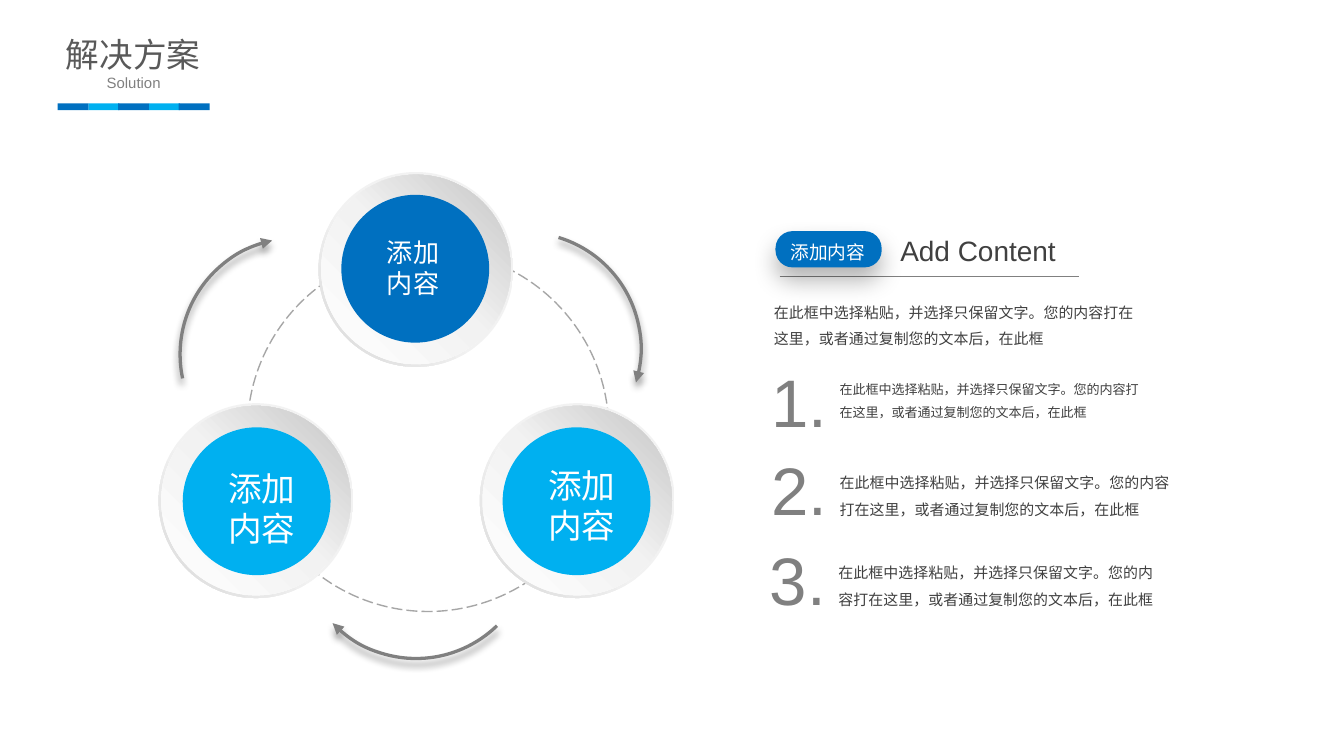
import pptx
import pptx.util
import pptx.oxml
import pptx.oxml.ns
import pptx.dml.color
import pptx.enum.dml
import pptx.enum.shapes
import pptx.enum.text

PX = 9144
SHAPE = pptx.enum.shapes.MSO_SHAPE
ALIGN = pptx.enum.text.PP_ALIGN
NS = pptx.oxml.ns.nsdecls("a")
C = {"blue": "0070C0", "sky": "00B0F0", "white": "FFFFFF", "black": "000000",
     "dark": "404040", "title": "595959", "gray": "808080", "dash": "A6A6A6",
     "pale": "F2F2F2", "rim": "D9D9D9", "shade": "C5C5C5"}
BODY = "在此框中选择粘贴，并选择只保留文字。您的内容打在这里，或者通过复制您的文本后，在此框"

prs = pptx.Presentation()
prs.slide_width = 1000 * PX
prs.slide_height = prs.slide_width * 9 // 16
s = prs.slides.add_slide(prs.slide_layouts[5])


def add_shape(kind, box, fill=None, line=None, width=1, shadow=None):
    sp = s.shapes.add_shape(kind, *[v * PX for v in box])
    sp.shadow.inherit = False
    spPr = sp._element.spPr
    if isinstance(fill, str):
        sp.fill.solid()
        sp.fill.fore_color.rgb = pptx.dml.color.RGBColor.from_string(C[fill])
    else:
        sp.fill.background()
    if isinstance(fill, tuple):
        angle, stops = fill
        gs = "".join(f'<a:gs pos="{pos * 1000}"><a:srgbClr val="{C[c]}"/></a:gs>' for pos, c in stops)
        grad = pptx.oxml.parse_xml(f'<a:gradFill {NS} rotWithShape="1"><a:gsLst>{gs}</a:gsLst>'
                                   f'<a:lin ang="{angle * 60000}" scaled="0"/></a:gradFill>')
        spPr.replace(spPr.find(pptx.oxml.ns.qn("a:noFill")), grad)
    if line:
        sp.line.color.rgb = pptx.dml.color.RGBColor.from_string(C[line])
        sp.line.width = pptx.util.Pt(width)
    else:
        sp.line.fill.background()
    if shadow:
        alpha, blur, dist = shadow
        spPr.find(pptx.oxml.ns.qn("a:effectLst")).append(pptx.oxml.parse_xml(
            f'<a:outerShdw {NS} blurRad="{blur * 12700}" dist="{dist * 12700}" dir="5400000" '
            f'algn="t" rotWithShape="0"><a:srgbClr val="{C["black"]}">'
            f'<a:alpha val="{alpha * 1000}"/></a:srgbClr></a:outerShdw>'))
    return sp


def add_text(box, text, size, color, align=ALIGN.LEFT, spacing=1.0, wrap=True, margins=(10, 5), sp=None):
    sp = sp or s.shapes.add_textbox(0, 0, PX, PX)
    for name, v in zip(("left", "top", "width", "height"), box):
        setattr(sp, name, v * PX)
    tf = sp.text_frame
    tf.text = text
    mx, my = margins
    frame = {"word_wrap": wrap, "auto_size": pptx.enum.text.MSO_AUTO_SIZE.SHAPE_TO_FIT_TEXT,
             "vertical_anchor": pptx.enum.text.MSO_ANCHOR.TOP,
             "margin_left": mx * PX, "margin_right": mx * PX,
             "margin_top": my * PX, "margin_bottom": my * PX}
    for name, v in frame.items():
        setattr(tf, name, v)
    for p in tf.paragraphs:
        p.alignment = align
        p.line_spacing = spacing
        for r in p.runs:
            for name, v in {"name": "Arial", "size": pptx.util.Pt(size), "bold": False}.items():
                setattr(r.font, name, v)
            r.font.color.rgb = pptx.dml.color.RGBColor.from_string(C[color])


add_text((41, 21, 116, 38), "解决方案", 18, "title", ALIGN.CENTER, wrap=False, margins=(7, 4), sp=s.shapes.title)
add_text((3, 50, 193, 24), "Solution", 8, "gray", ALIGN.CENTER)
for i in range(5):
    add_shape(SHAPE.RECTANGLE, (43 + (45 * i + 1) // 2, 77, 23, 5), ("blue", "sky")[i % 2])

orbit = add_shape(SHAPE.OVAL, (184, 186, 269, 269), line="dash", width=0.75)
orbit.line.dash_style = pptx.enum.dml.MSO_LINE.LONG_DASH

rim = (135, ((0, "pale"), (55, "pale"), (100, "rim")))
dish = (315, ((0, "white"), (51, "pale"), (100, "shade")))
for x, y, color, disc, label, size in (
        (237, 128, "blue", (254, 145, 110, 110), (278, 171, 68, 57), 14),
        (118, 300, "sky", (136, 318, 110, 110), (160, 343, 77, 71), 18),
        (357, 300, "sky", (374, 318, 110, 110), (398, 341, 83, 71), 18)):
    ring = add_shape(SHAPE.DONUT, (x, y, 145, 145), rim)
    ring.adjustments[0] = 0.05
    add_shape(SHAPE.OVAL, (x + 2, y + 2, 141, 141), dish)
    add_shape(SHAPE.OVAL, disc, color)
    add_text(label, "添加\n内容", size, "white")

for x, y, angle in ((304, 173, 16.9), (223, 317, 135.9), (134, 177, 258)):
    arc = add_shape(SHAPE.ARC, (x, y, 173, 173), line="gray", width=1.75, shadow=(40, 4, 3))
    arc.rotation = angle
    ln = arc._element.spPr.find(pptx.oxml.ns.qn("a:ln"))
    ln.append(pptx.oxml.parse_xml(f'<a:tailEnd {NS} type="triangle"/>'))

rule = s.shapes.add_connector(pptx.enum.shapes.MSO_CONNECTOR.STRAIGHT, 580 * PX, 206 * PX, 803 * PX, 206 * PX)
rule.line.color.rgb = pptx.dml.color.RGBColor.from_string(C["gray"])
rule.line.width = pptx.util.Pt(0.5)
rule._element.spPr.append(pptx.oxml.parse_xml(f"<a:effectLst {NS}/>"))
pill = add_shape(SHAPE.ROUNDED_RECTANGLE, (577, 172, 79, 27), "blue", shadow=(30, 13, 7))
pill.adjustments[0] = 0.47
add_text((578, 174, 76, 27), "添加内容", 10, "white", ALIGN.CENTER, wrap=False)
add_text((660, 169, 159, 35), "Add Content", 15, "dark")
add_text((566, 214, 298, 48), BODY, 8, "dark", spacing=1.5)

for number, x, y, body, size in (
        ("1.", 564, 263, (615, 273, 250, 43), 7),
        ("2.", 564, 329, (615, 341, 267, 48), 8),
        ("3.", 563, 396, (614, 408, 258, 48), 8)):
    add_text((x, y, 63, 71), number, 36, "gray")
    add_text(body, BODY, size, "dark", spacing=1.5)

prs.save("out.pptx")
